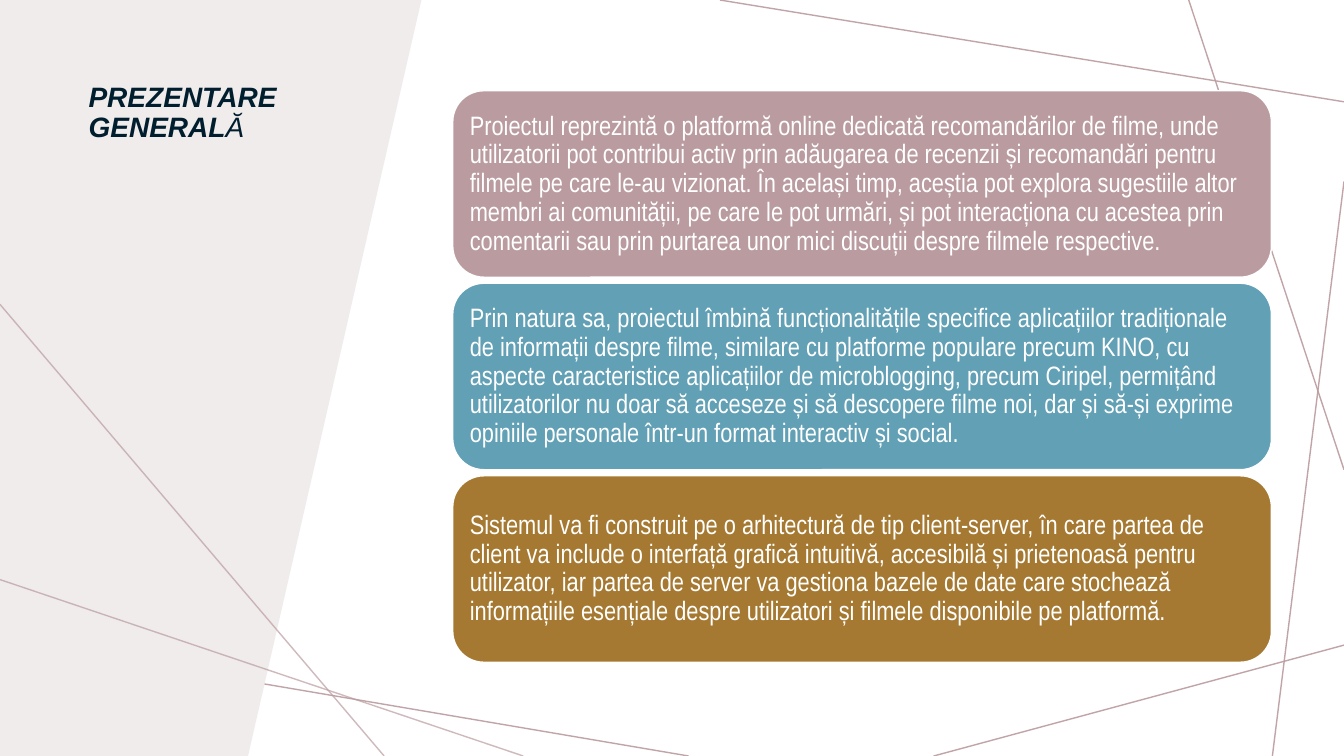
from dataclasses import dataclass

from lxml.etree import SubElement
from pptx import Presentation
from pptx.dml.color import RGBColor
from pptx.enum.shapes import MSO_CONNECTOR, MSO_SHAPE
from pptx.enum.text import MSO_ANCHOR, PP_ALIGN
from pptx.oxml.ns import qn
from pptx.slide import Slide
from pptx.util import Emu, Pt

PX = 9144  # one px is a hundredth of an inch
SLIDE_WIDTH, SLIDE_HEIGHT = 1333, 750

COLOURS = {
    "panel": "F0ECEC",
    "title": "001E2E",
    "rose": "BA9CA0",
    "blue": "61A0B5",
    "ochre": "A57931",
    "white": "FFFFFF",
}


@dataclass(frozen=True)
class Line:
    start: tuple[int, int]
    end: tuple[int, int]


@dataclass(frozen=True)
class Card:
    colour: str
    text: str


BACK_LINES = [
    Line((683, 750), (0, 634)),
    Line((1333, 640), (926, 750)),
    Line((1333, 180), (1262, 750)),
    Line((1333, 466), (1179, 0)),
    Line((1333, 101), (714, 0)),
]
FRONT_LINES = [
    Line((0, 302), (381, 750)),
    Line((519, 750), (0, 575)),
]
BACK_OPACITY, FRONT_OPACITY = 91, 70  # percent

PANEL_OUTLINE = [(0, 0), (418, 0), (246, 750), (0, 750)]

CARD_LEFT, CARD_TOP, CARD_WIDTH, CARD_HEIGHT = 449, 90, 812, 185
CARD_PITCH = 191
CARD_INSET = 17
CARDS = [
    Card("rose", "Proiectul reprezintă o platformă online dedicată recomandărilor de filme, "
         "unde utilizatorii pot contribui activ prin adăugarea de recenzii și recomandări "
         "pentru filmele pe care le-au vizionat. În același timp, aceștia pot explora "
         "sugestiile altor membri ai comunității, pe care le pot urmări, și pot interacționa "
         "cu acestea prin comentarii sau prin purtarea unor mici discuții despre filmele "
         "respective."),
    Card("blue", "Prin natura sa, proiectul îmbină funcționalitățile specifice aplicațiilor "
         "tradiționale de informații despre filme, similare cu platforme populare precum "
         "KINO, cu aspecte caracteristice aplicațiilor de microblogging, precum Ciripel, "
         "permițând utilizatorilor nu doar să acceseze și să descopere filme noi, dar și "
         "să-și exprime opiniile personale într-un format interactiv și social."),
    Card("ochre", "Sistemul va fi construit pe o arhitectură de tip client-server, în care "
         "partea de client va include o interfață grafică intuitivă, accesibilă și "
         "prietenoasă pentru utilizator, iar partea de server va gestiona bazele de date "
         "care stochează informațiile esențiale despre utilizatori și filmele disponibile "
         "pe platformă."),
]


def px(length: int) -> Emu:
    return Emu(length * PX)


def rgb(name: str) -> RGBColor:
    return RGBColor.from_string(COLOURS[name])


def draw_line(slide: Slide, line: Line, opacity: int) -> None:
    connector = slide.shapes.add_connector(
        MSO_CONNECTOR.STRAIGHT, *map(px, line.start + line.end))
    connector.line.width = Pt(1)
    connector.line.color.rgb = rgb("rose")
    properties = connector._element.spPr
    colour = next(properties.iter(qn("a:srgbClr")))
    SubElement(colour, qn("a:alpha")).set("val", str(opacity * 1000))
    SubElement(properties, qn("a:effectLst"))


def draw_panel(slide: Slide) -> None:
    builder = slide.shapes.build_freeform(*PANEL_OUTLINE[0], scale=PX)
    builder.add_line_segments(PANEL_OUTLINE[1:], close=True)
    panel = builder.convert_to_shape()
    panel.shadow.inherit = False
    panel.fill.solid()
    panel.fill.fore_color.rgb = rgb("panel")
    panel.line.fill.background()


def draw_title(slide: Slide) -> None:
    frame = slide.shapes.add_textbox(px(78), px(78), px(270), px(203)).text_frame
    frame.word_wrap = True
    paragraph = frame.paragraphs[0]
    paragraph.line_spacing = 0.9
    paragraph.font.name = "Arial"
    paragraph.font.size = Pt(20)
    paragraph.font.italic = True
    paragraph.font.color.rgb = rgb("title")
    for text, bold in (("PREZENTARE GENERAL", True), ("Ă", False)):
        run = paragraph.add_run()
        run.text = text
        run.font.bold = bold


def draw_card(slide: Slide, card: Card, top: int) -> None:
    shape = slide.shapes.add_shape(
        MSO_SHAPE.ROUNDED_RECTANGLE,
        px(CARD_LEFT), px(top), px(CARD_WIDTH), px(CARD_HEIGHT))
    shape.shadow.inherit = False
    shape.fill.solid()
    shape.fill.fore_color.rgb = rgb(card.colour)
    shape.line.color.rgb = rgb("white")
    shape.line.width = Pt(1)

    frame = shape.text_frame
    frame.word_wrap = True
    frame.vertical_anchor = MSO_ANCHOR.MIDDLE
    # The rounded corners already inset the text area by about 9 px
    frame.margin_left = frame.margin_right = px(CARD_INSET - 9)
    frame.margin_top = frame.margin_bottom = px(CARD_INSET - 9)
    paragraph = frame.paragraphs[0]
    paragraph.text = card.text
    paragraph.alignment = PP_ALIGN.LEFT
    paragraph.line_spacing = 0.9
    paragraph.font.name = "Arial Narrow"
    paragraph.font.size = Pt(19)
    paragraph.font.color.rgb = rgb("white")


def main() -> None:
    presentation = Presentation()
    presentation.slide_width = px(SLIDE_WIDTH)
    presentation.slide_height = px(SLIDE_HEIGHT)
    slide = presentation.slides.add_slide(presentation.slide_layouts[6])

    # Backdrop: lines behind and in front of the slanted panel
    for line in BACK_LINES:
        draw_line(slide, line, BACK_OPACITY)
    draw_panel(slide)
    draw_title(slide)
    for line in FRONT_LINES:
        draw_line(slide, line, FRONT_OPACITY)

    # Stack of text cards
    for index, card in enumerate(CARDS):
        draw_card(slide, card, CARD_TOP + index * CARD_PITCH)

    presentation.save("out.pptx")


if __name__ == "__main__":
    main()
